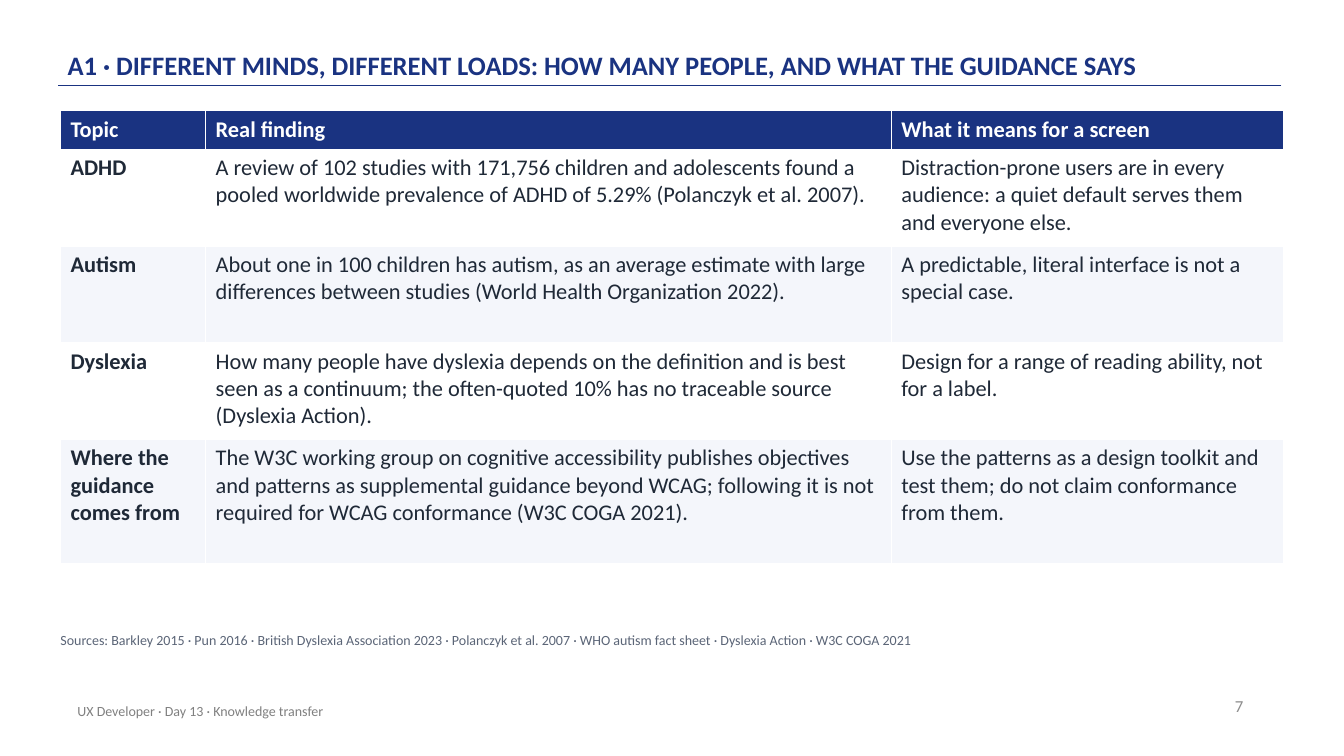
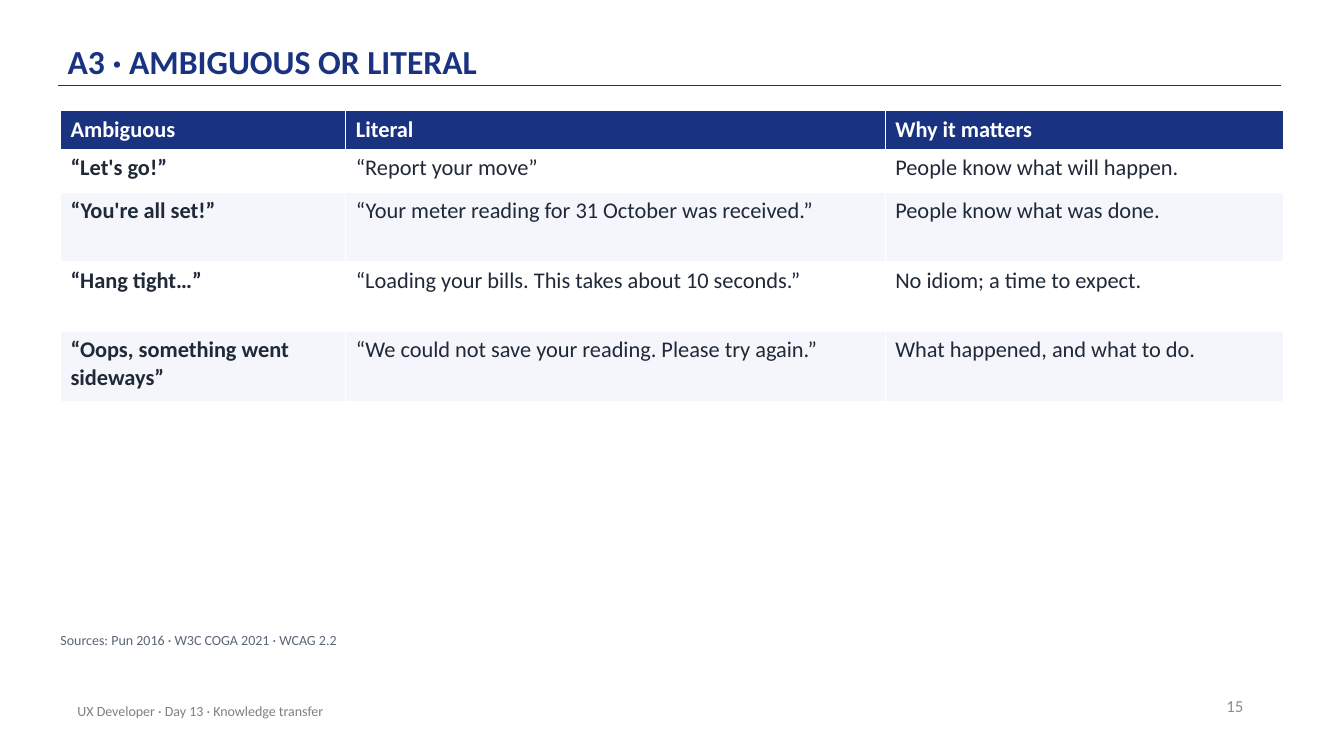
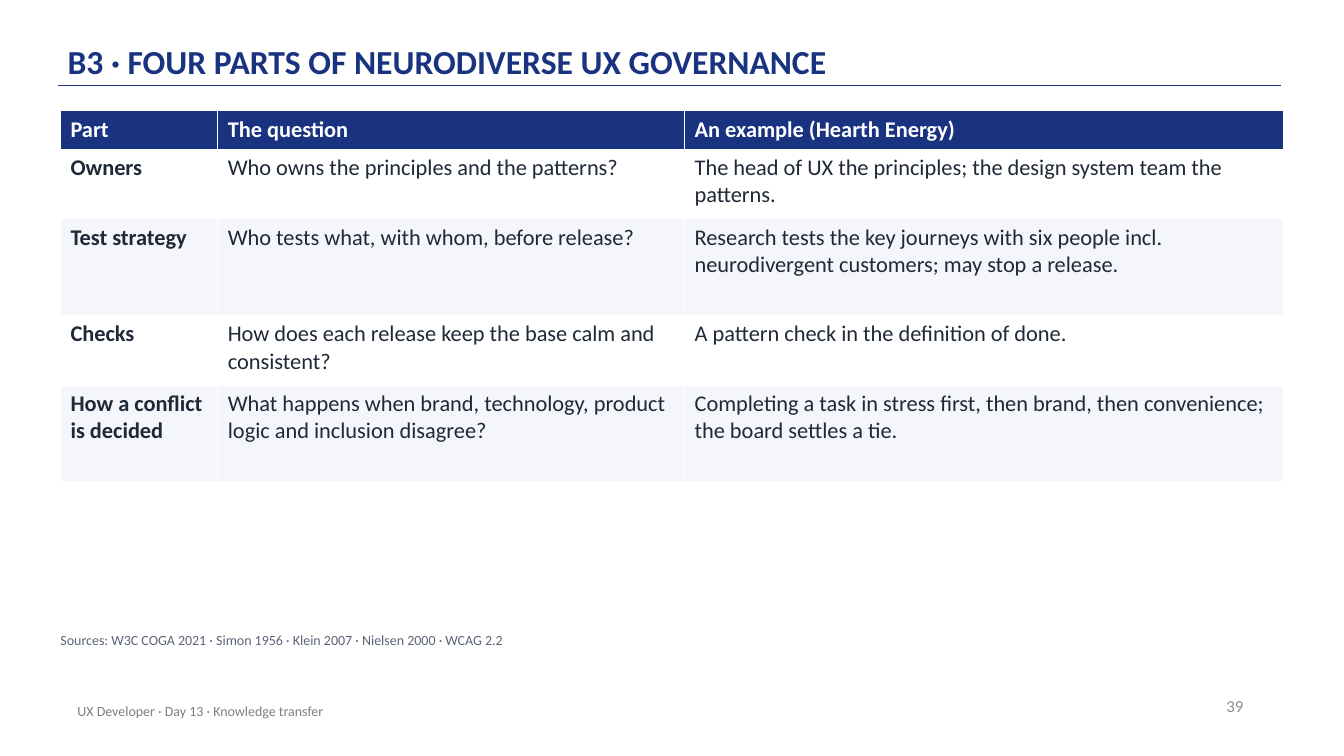
from lxml import etree
from pptx import Presentation
from pptx.dml.color import RGBColor
from pptx.enum.shapes import MSO_CONNECTOR
from pptx.enum.text import MSO_ANCHOR, MSO_AUTO_SIZE, PP_ALIGN
from pptx.oxml.ns import qn
from pptx.util import Inches, Pt

NAVY = RGBColor(0x1A, 0x33, 0x81)
INK = RGBColor(0x1F, 0x29, 0x37)
SLATE = RGBColor(0x5B, 0x65, 0x77)
GRAY = RGBColor(0x80, 0x80, 0x80)
LIGHT_GRAY = RGBColor(0x8C, 0x8C, 0x8C)
BAND = RGBColor(0xF4, 0xF6, 0xFB)
WHITE = RGBColor(0xFF, 0xFF, 0xFF)

LEFT, RIGHT = PP_ALIGN.LEFT, PP_ALIGN.RIGHT
TOP, MIDDLE, BOTTOM = MSO_ANCHOR.TOP, MSO_ANCHOR.MIDDLE, MSO_ANCHOR.BOTTOM
NO_FIT, GROW = MSO_AUTO_SIZE.NONE, MSO_AUTO_SIZE.SHAPE_TO_FIT_TEXT
STRAIGHT = MSO_CONNECTOR.STRAIGHT

FONT = "Calibri"
TITLE_ONLY = 5
FOOTER = "UX Developer · Day 13 · Knowledge transfer"

TITLE_BOX = (0.67, 0.12, 11, 0.72)
TABLE_BOX = (0.6, 1.1)
SOURCES_BOX = (0.6, 6.27, 12.1, 0.3)
FOOTER_BOX = (0.67, 6.85, 6.7, 0.4)
NUMBER_BOX = (9.43, 6.8, 3, 0.4)
RULE_LEFT, RULE_RIGHT, RULE_TOP = 0.58, 12.71, 0.85

TITLE_FRAME = {"vertical_anchor": BOTTOM, "auto_size": NO_FIT, "word_wrap": True,
               "margin_left": 0, "margin_right": 0,
               "margin_top": Inches(0.03), "margin_bottom": Inches(0.03)}
SOURCES_FRAME = {"vertical_anchor": TOP, "auto_size": GROW, "word_wrap": True,
                 "margin_left": 0, "margin_right": 0,
                 "margin_top": 0, "margin_bottom": 0}
FOOTER_FRAME = {"vertical_anchor": MIDDLE, "auto_size": NO_FIT, "word_wrap": True}

SLIDES = [
    {
        "title": "A1 · DIFFERENT MINDS, DIFFERENT LOADS: HOW MANY PEOPLE, AND WHAT THE GUIDANCE SAYS",
        "title_size": 19,
        "number": 7,
        "columns": [1.44, 6.8, 3.89],
        "heights": [0.38, 0.96, 0.96, 0.96, 1.23],
        "rows": [
            ("Topic", "Real finding", "What it means for a screen"),
            ("ADHD",
             "A review of 102 studies with 171,756 children and adolescents found a pooled worldwide prevalence of ADHD of 5.29% (Polanczyk et al. 2007).",
             "Distraction-prone users are in every audience: a quiet default serves them and everyone else."),
            ("Autism",
             "About one in 100 children has autism, as an average estimate with large differences between studies (World Health Organization 2022).",
             "A predictable, literal interface is not a special case."),
            ("Dyslexia",
             "How many people have dyslexia depends on the definition and is best seen as a continuum; the often-quoted 10% has no traceable source (Dyslexia Action).",
             "Design for a range of reading ability, not for a label."),
            ("Where the guidance comes from",
             "The W3C working group on cognitive accessibility publishes objectives and patterns as supplemental guidance beyond WCAG; following it is not required for WCAG conformance (W3C COGA 2021).",
             "Use the patterns as a design toolkit and test them; do not claim conformance from them."),
        ],
        "sources": "Sources: Barkley 2015 · Pun 2016 · British Dyslexia Association 2023 · Polanczyk et al. 2007 · WHO autism fact sheet · Dyslexia Action · W3C COGA 2021",
    },
    {
        "title": "A3 · AMBIGUOUS OR LITERAL",
        "title_size": 24,
        "number": 15,
        "columns": [2.83, 5.35, 3.95],
        "heights": [0.38, 0.43, 0.69, 0.69, 0.69],
        "rows": [
            ("Ambiguous", "Literal", "Why it matters"),
            ("“Let's go!”", "“Report your move”", "People know what will happen."),
            ("“You're all set!”", "“Your meter reading for 31 October was received.”",
             "People know what was done."),
            ("“Hang tight…”", "“Loading your bills. This takes about 10 seconds.”",
             "No idiom; a time to expect."),
            ("“Oops, something went sideways”",
             "“We could not save your reading. Please try again.”",
             "What happened, and what to do."),
        ],
        "sources": "Sources: Pun 2016 · W3C COGA 2021 · WCAG 2.2",
    },
    {
        "title": "B3 · FOUR PARTS OF NEURODIVERSE UX GOVERNANCE",
        "title_size": 24,
        "number": 39,
        "columns": [1.56, 4.63, 5.94],
        "heights": [0.38, 0.69, 0.96, 0.69, 0.96],
        "rows": [
            ("Part", "The question", "An example (Hearth Energy)"),
            ("Owners", "Who owns the principles and the patterns?",
             "The head of UX the principles; the design system team the patterns."),
            ("Test strategy", "Who tests what, with whom, before release?",
             "Research tests the key journeys with six people incl. neurodivergent customers; may stop a release."),
            ("Checks", "How does each release keep the base calm and consistent?",
             "A pattern check in the definition of done."),
            ("How a conflict is decided",
             "What happens when brand, technology, product logic and inclusion disagree?",
             "Completing a task in stress first, then brand, then convenience; the board settles a tie."),
        ],
        "sources": "Sources: W3C COGA 2021 · Simon 1956 · Klein 2007 · Nielsen 2000 · WCAG 2.2",
    },
]


def set_attributes(target, values):
    for name, value in values.items():
        setattr(target, name, value)


def write_text(text_frame, text, size, color, bold=False, **paragraph_format):
    paragraph = text_frame.paragraphs[0]
    run = paragraph.add_run()
    run.text = text
    set_attributes(run.font, {"name": FONT, "size": Pt(size), "bold": bold})
    run.font.color.rgb = color
    set_attributes(paragraph, paragraph_format)


def add_text(slide, box, frame_format, text, size, color, **paragraph_format):
    shape = slide.shapes.add_textbox(*map(Inches, box))
    set_attributes(shape.text_frame, frame_format)
    write_text(shape.text_frame, text, size, color, **paragraph_format)


def prepare_layout(layout):
    title, *unused = list(layout.placeholders)
    for placeholder in unused:
        placeholder.element.getparent().remove(placeholder.element)
    left, top, width, height = map(Inches, TITLE_BOX)
    set_attributes(title, {"left": left, "top": top, "width": width, "height": height})


def add_title_rule(slide, layout):
    rule = slide.shapes.add_connector(
        STRAIGHT, Inches(RULE_RIGHT), Inches(RULE_TOP), Inches(RULE_LEFT), Inches(RULE_TOP))
    rule.line.color.rgb = NAVY
    rule.line.width = Pt(1)
    etree.SubElement(rule.element.spPr, qn("a:effectLst"))
    layout.shapes.element.append(rule.element)


def add_title(slide, text, size):
    text_frame = slide.shapes.title.text_frame
    set_attributes(text_frame, TITLE_FRAME)
    write_text(text_frame, text, size, NAVY, bold=True, alignment=LEFT, line_spacing=0.9)


def add_footer(slide, number):
    add_text(slide, NUMBER_BOX, FOOTER_FRAME, str(number), 12, LIGHT_GRAY, alignment=RIGHT)
    add_text(slide, FOOTER_BOX, FOOTER_FRAME, FOOTER, 10, GRAY)


def add_findings_table(slide, origin, columns, heights, rows):
    left, top = origin
    frame = slide.shapes.add_table(
        len(rows), len(columns), Inches(left), Inches(top),
        Inches(sum(columns)), Inches(sum(heights)))
    table = frame.table
    table.horz_banding = False
    for column, width in zip(table.columns, columns):
        column.width = Inches(width)
    for row_index, (row, height) in enumerate(zip(table.rows, heights)):
        row.height = Inches(height)
        is_header = row_index == 0
        fill = NAVY if is_header else WHITE if row_index % 2 else BAND
        for column_index, cell in enumerate(row.cells):
            cell.fill.solid()
            cell.fill.fore_color.rgb = fill
            write_text(cell.text_frame, rows[row_index][column_index], 16,
                       WHITE if is_header else INK,
                       bold=is_header or column_index == 0)


def build_slide(slide, content):
    add_title(slide, content["title"], content["title_size"])
    add_footer(slide, content["number"])
    add_findings_table(slide, TABLE_BOX, content["columns"], content["heights"], content["rows"])
    add_text(slide, SOURCES_BOX, SOURCES_FRAME, content["sources"], 10, SLATE,
             space_after=Pt(6))


def main():
    presentation = Presentation()
    presentation.slide_width = Inches(13.33)
    presentation.slide_height = Inches(7.5)
    layout = presentation.slide_layouts[TITLE_ONLY]
    prepare_layout(layout)
    slides = [presentation.slides.add_slide(layout) for _ in SLIDES]
    add_title_rule(slides[0], layout)
    for slide, content in zip(slides, SLIDES):
        build_slide(slide, content)
    presentation.save("out.pptx")


if __name__ == "__main__":
    main()
